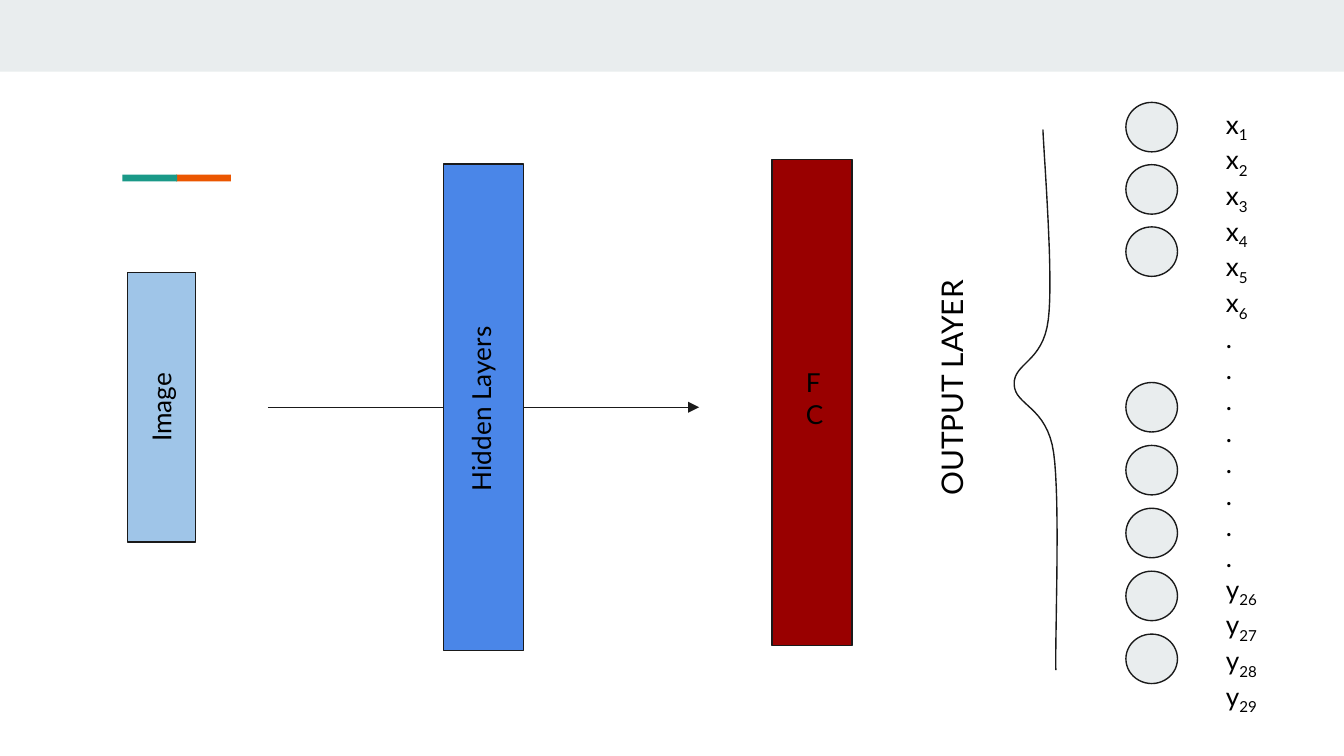
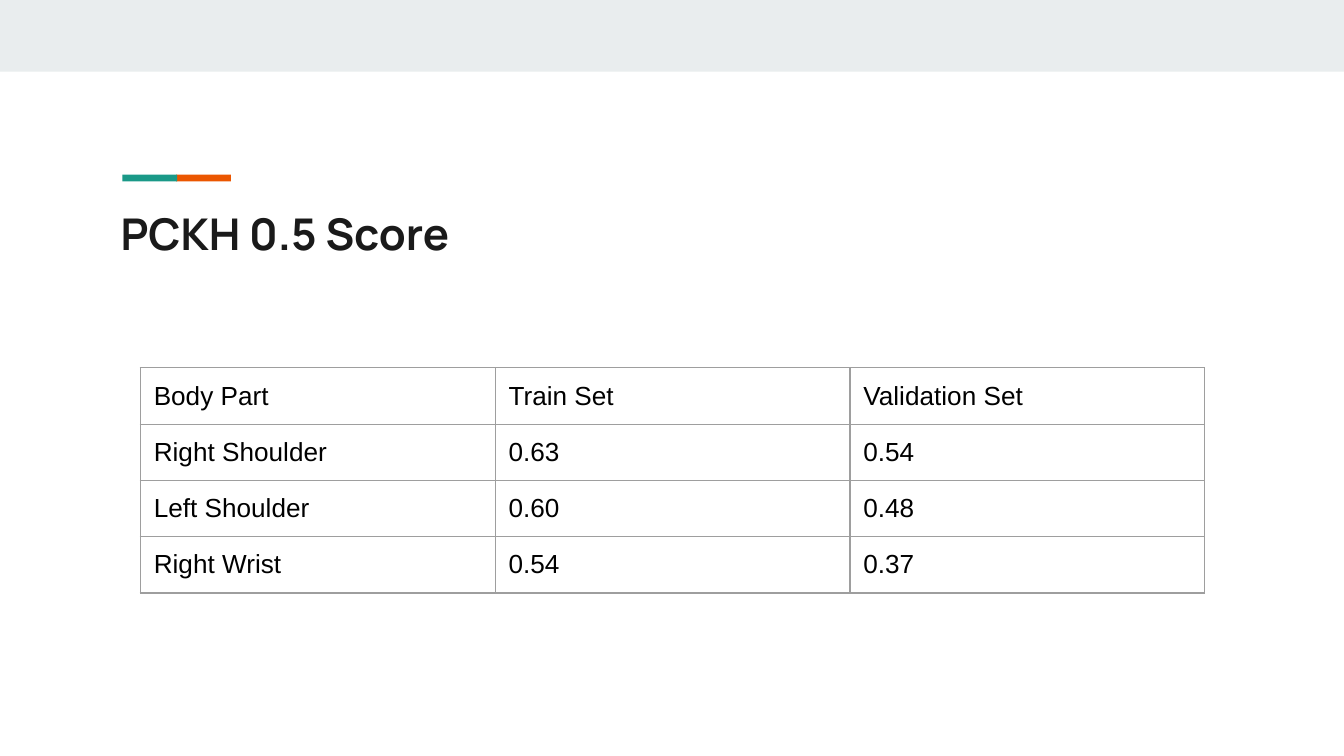
from dataclasses import dataclass
from typing import Iterator

from lxml.etree import SubElement
from pptx import Presentation
from pptx.dml.color import RGBColor
from pptx.enum.shapes import MSO_CONNECTOR, MSO_SHAPE
from pptx.enum.text import MSO_ANCHOR, MSO_AUTO_SIZE, PP_ALIGN
from pptx.oxml import parse_xml
from pptx.oxml.ns import nsdecls, qn
from pptx.util import Emu, Pt

# The slide is 100 columns wide; rows are as tall as columns are wide.
COLUMNS, ROWS = 100, 56.25
CELL = 91440
INSET = 1

WHITE = RGBColor(0xFF, 0xFF, 0xFF)
BLACK = RGBColor(0x00, 0x00, 0x00)
INK = RGBColor(0x1A, 0x1A, 0x1A)
MIST = RGBColor(0xE9, 0xED, 0xEE)
TEAL = RGBColor(0x1A, 0x99, 0x88)
ORANGE = RGBColor(0xEB, 0x56, 0x00)
SKY = RGBColor(0x9F, 0xC5, 0xE8)
BLUE = RGBColor(0x4A, 0x86, 0xE8)
DARK_RED = RGBColor(0x99, 0x00, 0x00)
BORDER = RGBColor(0x9E, 0x9E, 0x9E)

LINE = Pt(0.75)
DIAGRAM_FONT, TITLE_FONT, TABLE_FONT = "Lato", "Manrope", "Arial"
TITLE_ONLY, BLANK = 5, 6


@dataclass(frozen=True)
class Area:
    left: float
    top: float
    width: float
    height: float

    def emu(self) -> tuple[Emu, ...]:
        return tuple(grid(n) for n in (self.left, self.top, self.width, self.height))


@dataclass(frozen=True)
class Label:
    """Paragraphs of text; each is a list of a base text and an optional subscript."""
    area: Area
    paragraphs: list[tuple[str, ...]]
    size: float = 14
    upward: bool = False


@dataclass(frozen=True)
class Layer:
    area: Area
    color: RGBColor
    label: Label


BAND = Area(0, 0, COLUMNS, 5.33)
RULE = Area(11.05, 7.96, 4.19, 10.58)  # the rule's group, stretched around its bars
BARS = [(Area(5.71, 0, 0.28, 5.82), ORANGE), (Area(0, 0, 0.28, 5.82), TEAL)]

IMAGE = Layer(Area(9.5, 20.28, 5.04, 20.06), SKY,
              Label(Area(6.9, 28.1, 10.2, 4.4), [("Image",)], upward=True))
HIDDEN = Layer(Area(33, 12.2, 5.96, 36.2), BLUE,
               Label(Area(24.74, 28.22, 22.1, 4.4), [("Hidden Layers",)], upward=True))
CONNECTED = Layer(Area(57.43, 11.86, 5.98, 36.18), DARK_RED,
                  Label(Area(58.98, 26.3, 3.4, 6.7), [("F",), ("C",)]))

OUTPUT_TITLE = Label(Area(54.4, 26.5, 32.8, 4.7), [("OUTPUT LAYER",)], 16, upward=True)
OUTPUT_NAMES = Label(
    Area(90.23, 7.04, 6.6, 49.2),
    [("x", str(n)) for n in range(1, 7)] + [(".",)] * 8
    + [("y", str(n)) for n in range(26, 30)])

NODE_LEFT, NODE_WIDTH, NODE_HEIGHT = 83.77, 3.84, 3.68
NODE_GROUPS = [(7.62, 16.88, 3), (28.46, 47.18, 5)]  # first top, last top, count

BRACE_START = (77.6, 9.64)
BRACE_CURVES = [
    ((77.7, 12), (78.4, 20.7), (78, 23.8)),
    ((77.6, 27), (75.4, 27), (75.46, 28.6)),
    ((75.5, 30.2), (77.9, 30.2), (78.4, 33.7)),
    ((78.9, 37.2), (78.5, 47.2), (78.56, 49.86)),
]
CURVE_STEPS = 16

SCORES = [
    ("Body Part", "Train Set", "Validation Set"),
    ("Right Shoulder", "0.63", "0.54"),
    ("Left Shoulder", "0.60", "0.48"),
    ("Right Wrist", "0.54", "0.37"),
]
SCORE_LEFT, SCORE_TOP, SCORE_COLUMN, SCORE_ROW = 10.44, 27.37, 26.4, 4.16


def grid(cells: float) -> Emu:
    return Emu(round(cells * CELL))


def spread(first: float, last: float, count: int) -> Iterator[float]:
    """Yield evenly spaced positions from first to last."""
    return (first + (last - first) * n / (count - 1) for n in range(count))


def place(thing, area: Area) -> None:
    thing.left, thing.top, thing.width, thing.height = area.emu()


def write(para, text: str, *, font: str, size: float, color: RGBColor = BLACK,
          bold: bool = False, subscript: bool = False) -> None:
    span = para.add_run()
    span.text = text
    span.font.name, span.font.size, span.font.bold = font, Pt(size), bold
    span.font.color.rgb = color
    if subscript:
        span.font._element.set("baseline", "-25000")


def set_insets(frame) -> None:
    frame.margin_left = frame.margin_right = grid(INSET)
    frame.margin_top = frame.margin_bottom = grid(INSET)


def add_block(parent, kind: MSO_SHAPE, area: Area, color: RGBColor,
              outlined: bool = True, turn: float = 0) -> None:
    """Draw a filled shape on a slide or in a group."""
    shape = parent.shapes.add_shape(kind, *area.emu())
    shape.shadow.inherit = False
    shape.rotation = turn
    shape.fill.solid()
    shape.fill.fore_color.rgb = color
    if outlined:
        shape.line.color.rgb, shape.line.width = INK, LINE
    else:
        shape.line.fill.background()


def add_label(slide, label: Label) -> None:
    box = slide.shapes.add_textbox(*label.area.emu())
    frame = box.text_frame
    frame.word_wrap = True
    frame.auto_size = MSO_AUTO_SIZE.SHAPE_TO_FIT_TEXT
    set_insets(frame)
    if label.upward:
        box.rotation = 270
    for number, parts in enumerate(label.paragraphs):
        para = frame.add_paragraph() if number else frame.paragraphs[0]
        para.alignment = PP_ALIGN.CENTER if label.upward else PP_ALIGN.LEFT
        for position, text in enumerate(parts):
            write(para, text, font=DIAGRAM_FONT, size=label.size,
                  subscript=position > 0)


def add_layer(slide, layer: Layer) -> None:
    add_block(slide, MSO_SHAPE.RECTANGLE, layer.area, layer.color)
    add_label(slide, layer.label)


def add_arrow(slide, left: float, right: float, row: float) -> None:
    arrow = slide.shapes.add_connector(
        MSO_CONNECTOR.STRAIGHT, grid(left), grid(row), grid(right), grid(row))
    arrow.line.color.rgb, arrow.line.width = INK, LINE
    SubElement(arrow.line._get_or_add_ln(), qn("a:tailEnd"), type="triangle")
    SubElement(arrow._element.spPr, qn("a:effectLst"))


def brace_points() -> Iterator[tuple[Emu, Emu]]:
    """Yield points along the cubic curves of the brace, after its start."""
    start = BRACE_START
    for curve in BRACE_CURVES:
        for step in range(1, CURVE_STEPS + 1):
            t = step / CURVE_STEPS
            weights = ((1 - t) ** 3, 3 * t * (1 - t) ** 2, 3 * t * t * (1 - t), t ** 3)
            x, y = (sum(w * point[axis] for w, point in zip(weights, (start, *curve)))
                    for axis in (0, 1))
            yield grid(x), grid(y)
        start = curve[-1]


def add_brace(slide) -> None:
    builder = slide.shapes.build_freeform(*(grid(n) for n in BRACE_START))
    builder.add_line_segments(list(brace_points()), close=False)
    brace = builder.convert_to_shape()
    brace.shadow.inherit = False
    brace.fill.background()
    brace.line.color.rgb, brace.line.width = INK, LINE


def add_border(cell) -> None:
    properties = cell._tc.get_or_add_tcPr()
    for position, side in enumerate(("lnL", "lnR", "lnT", "lnB")):
        properties.insert(position, parse_xml(
            f'<a:{side} {nsdecls("a")} w="{LINE}"><a:solidFill>'
            f'<a:srgbClr val="{BORDER}"/></a:solidFill></a:{side}>'))


def add_scores(slide) -> None:
    count, width = len(SCORES), len(SCORES[0])
    area = Area(SCORE_LEFT, SCORE_TOP, width * SCORE_COLUMN, count * SCORE_ROW)
    table = slide.shapes.add_table(count, width, *area.emu()).table
    table.first_row = table.horz_banding = False
    for row, texts in zip(table.rows, SCORES):
        for cell, text in zip(row.cells, texts):
            cell.fill.background()
            set_insets(cell)
            add_border(cell)
            write(cell.text_frame.paragraphs[0], text, font=TABLE_FONT, size=14)


def set_title(slide, text: str) -> None:
    title = slide.shapes.title
    place(title, Area(7.97, 14.4, 84.1, 5.9))
    frame = title.text_frame
    frame.word_wrap = True
    frame.auto_size = MSO_AUTO_SIZE.NONE
    frame.vertical_anchor = MSO_ANCHOR.TOP
    set_insets(frame)
    para = frame.paragraphs[0]
    para.alignment = PP_ALIGN.LEFT
    write(para, text, font=TITLE_FONT, size=23.4, color=INK, bold=True)


def add_rule(slide) -> None:
    """Draw the two-colour rule: upright bars laid flat, in a stretched group."""
    rule = slide.shapes.add_group_shape()
    for area, color in BARS:
        add_block(rule, MSO_SHAPE.RECTANGLE, area, color, outlined=False, turn=270)
    place(rule, RULE)


def new_slide(deck, layout: int):
    """Add a slide with the shared background, top band and two-colour rule."""
    slide = deck.slides.add_slide(deck.slide_layouts[layout])
    slide.background.fill.solid()
    slide.background.fill.fore_color.rgb = WHITE
    add_block(slide, MSO_SHAPE.RECTANGLE, BAND, MIST, outlined=False)
    add_rule(slide)
    return slide


def build_network(deck) -> None:
    slide = new_slide(deck, BLANK)
    for group in NODE_GROUPS:
        for top in spread(*group):
            add_block(slide, MSO_SHAPE.OVAL,
                      Area(NODE_LEFT, top, NODE_WIDTH, NODE_HEIGHT), MIST)
    add_layer(slide, CONNECTED)
    add_layer(slide, IMAGE)
    add_label(slide, OUTPUT_NAMES)
    add_label(slide, OUTPUT_TITLE)
    add_arrow(slide, 19.94, 52.02, 30.3)
    add_layer(slide, HIDDEN)
    add_brace(slide)


def build_results(deck) -> None:
    slide = new_slide(deck, TITLE_ONLY)
    set_title(slide, "PCKH 0.5 Score")
    add_scores(slide)


def main() -> None:
    deck = Presentation()
    deck.slide_width, deck.slide_height = grid(COLUMNS), grid(ROWS)
    build_network(deck)
    build_results(deck)
    deck.save("out.pptx")


if __name__ == "__main__":
    main()
